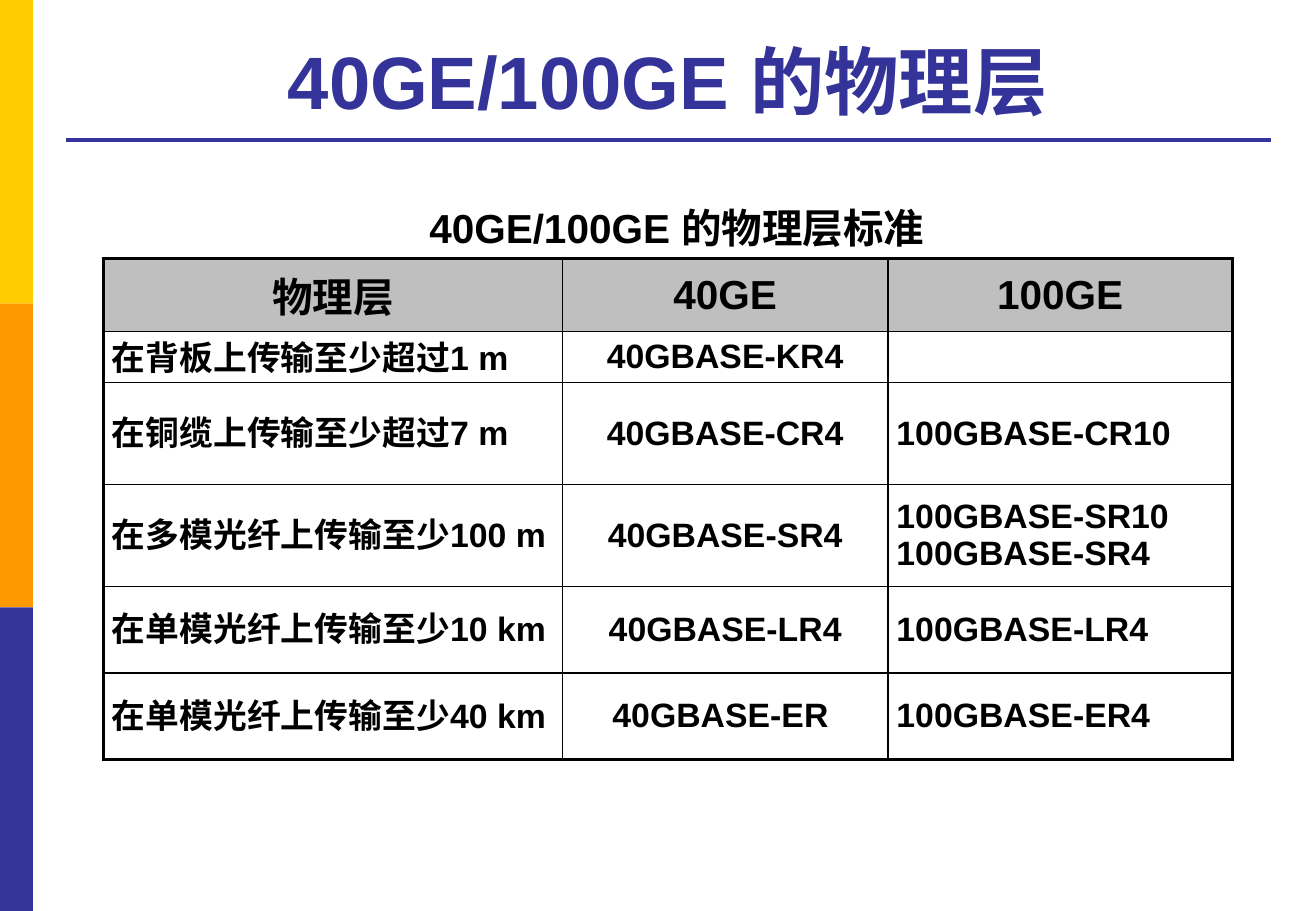
from typing import NamedTuple

from lxml.etree import SubElement
from pptx import Presentation
from pptx.dml.color import RGBColor
from pptx.enum.shapes import MSO_CONNECTOR, MSO_SHAPE
from pptx.enum.text import MSO_ANCHOR as Anchor, PP_ALIGN as Align
from pptx.oxml.ns import qn
from pptx.util import Cm, Pt

YELLOW = RGBColor(0xFF, 0xCC, 0x00)
ORANGE = RGBColor(0xFF, 0x99, 0x00)
INDIGO = RGBColor(0x33, 0x33, 0x99)
GRAY = RGBColor(0xBF, 0xBF, 0xBF)
BLACK = RGBColor(0x00, 0x00, 0x00)

BAND_W, BAND_H = 0.69, 6.35
COL_WIDTHS = (9.6, 6.8, 7.2)
ROW_HEIGHTS = (1.52, 1.07, 2.13, 2.13, 1.81, 1.81)
OUTER, INNER = 2.25, 1


class Box(NamedTuple):
    left: float
    top: float
    width: float
    height: float

    def lengths(self) -> list[Cm]:
        return [Cm(v) for v in self]


class Standard(NamedTuple):
    medium: str
    ge40: str
    ge100: str


HEADER = Standard("物理层", "40GE", "100GE")
STANDARDS = (
    Standard("在背板上传输至少超过1 m", "40GBASE-KR4", ""),
    Standard("在铜缆上传输至少超过7 m", "40GBASE-CR4", "100GBASE-CR10"),
    Standard("在多模光纤上传输至少100 m", "40GBASE-SR4",
             "100GBASE-SR10\n100GBASE-SR4"),
    Standard("在单模光纤上传输至少10 km", "40GBASE-LR4", "100GBASE-LR4"),
    Standard("在单模光纤上传输至少40 km", "40GBASE-ER ", "100GBASE-ER4"),
)


def write(tf, text: str, *, size: float, color: RGBColor = BLACK,
          align: Align = Align.CENTER) -> None:
    """Fill a text frame with one bold paragraph per line of text."""
    tf.word_wrap = True
    for i, line in enumerate(text.split("\n")):
        p = tf.paragraphs[0] if i == 0 else tf.add_paragraph()
        p.alignment = align
        p.font.size = Pt(size)
        if line:
            r = p.add_run()
            r.text = line
            r.font.name = "Arial"
            r.font.size = Pt(size)
            r.font.bold = True
            r.font.color.rgb = color


def add_text(slide, box: Box, text: str, *, anchor: Anchor, size: float,
             color: RGBColor = BLACK) -> None:
    tf = slide.shapes.add_textbox(*box.lengths()).text_frame
    tf.vertical_anchor = anchor
    write(tf, text, size=size, color=color)


def add_band(slide, box: Box, color: RGBColor) -> None:
    sp = slide.shapes.add_shape(MSO_SHAPE.RECTANGLE, *box.lengths())
    sp.shadow.inherit = False
    sp.fill.solid()
    sp.fill.fore_color.rgb = color
    sp.line.fill.background()


def add_rule(slide, left: float, right: float, y: float) -> None:
    line = slide.shapes.add_connector(
        MSO_CONNECTOR.STRAIGHT, Cm(left), Cm(y), Cm(right), Cm(y))
    line.line.color.rgb = INDIGO
    line.line.width = Pt(OUTER)
    SubElement(line._element.spPr, qn("a:effectLst"))


def set_borders(cell, row: int, col: int) -> None:
    """Draw thick lines on the table's outline and thin ones inside."""
    on_outline = {
        "L": col == 0,
        "R": col == len(COL_WIDTHS) - 1,
        "T": row == 0,
        "B": row == len(ROW_HEIGHTS) - 1,
    }
    tc_pr = cell._tc.get_or_add_tcPr()
    for side, outer in on_outline.items():
        width = Pt(OUTER if outer else INNER)
        ln = SubElement(tc_pr, qn(f"a:ln{side}"), w=str(width))
        fill = SubElement(ln, qn("a:solidFill"))
        SubElement(fill, qn("a:srgbClr"), val=str(BLACK))


def fill_cell(cell, row: int, col: int, text: str) -> None:
    set_borders(cell, row, col)
    is_header = row == 0
    cell.margin_left = cell.margin_right = Cm(0.18)
    cell.margin_top = 0
    # The wrapped lines of the first column need room above the lower border.
    cell.margin_bottom = Cm(0.1) if col == 0 and not is_header else 0
    cell.vertical_anchor = Anchor.MIDDLE
    if is_header:
        cell.fill.solid()
        cell.fill.fore_color.rgb = GRAY
    else:
        cell.fill.background()
    centered = is_header or col == 1
    write(cell.text_frame, text, size=24 if is_header else 20,
          align=Align.CENTER if centered else Align.JUSTIFY)


def add_standards_table(slide, left: float, top: float) -> None:
    box = Box(left, top, sum(COL_WIDTHS), sum(ROW_HEIGHTS))
    table = slide.shapes.add_table(
        len(ROW_HEIGHTS), len(COL_WIDTHS), *box.lengths()).table
    table.first_row = table.horz_banding = False
    for column, width in zip(table.columns, COL_WIDTHS):
        column.width = Cm(width)
    for row, height in zip(table.rows, ROW_HEIGHTS):
        row.height = Cm(height)
    for i, standard in enumerate((HEADER, *STANDARDS)):
        for j, text in enumerate(standard):
            fill_cell(table.cell(i, j), i, j, text)


def main() -> None:
    prs = Presentation()
    prs.slide_width, prs.slide_height = Cm(27.51), Cm(19.05)
    slide = prs.slides.add_slide(prs.slide_layouts[6])

    for i, color in enumerate((YELLOW, ORANGE, INDIGO)):
        add_band(slide, Box(0, i * BAND_H, BAND_W, BAND_H), color)
    add_rule(slide, 1.37, 26.57, 2.92)
    add_text(slide, Box(1.37, 0.52, 25.18, 2.2), "40GE/100GE 的物理层",
             anchor=Anchor.BOTTOM, size=44, color=INDIGO)
    add_standards_table(slide, 2.16, 5.41)
    add_text(slide, Box(4.95, 4.12, 18.4, 1.27), "40GE/100GE 的物理层标准",
             anchor=Anchor.MIDDLE, size=24)

    prs.save("out.pptx")


if __name__ == "__main__":
    main()
